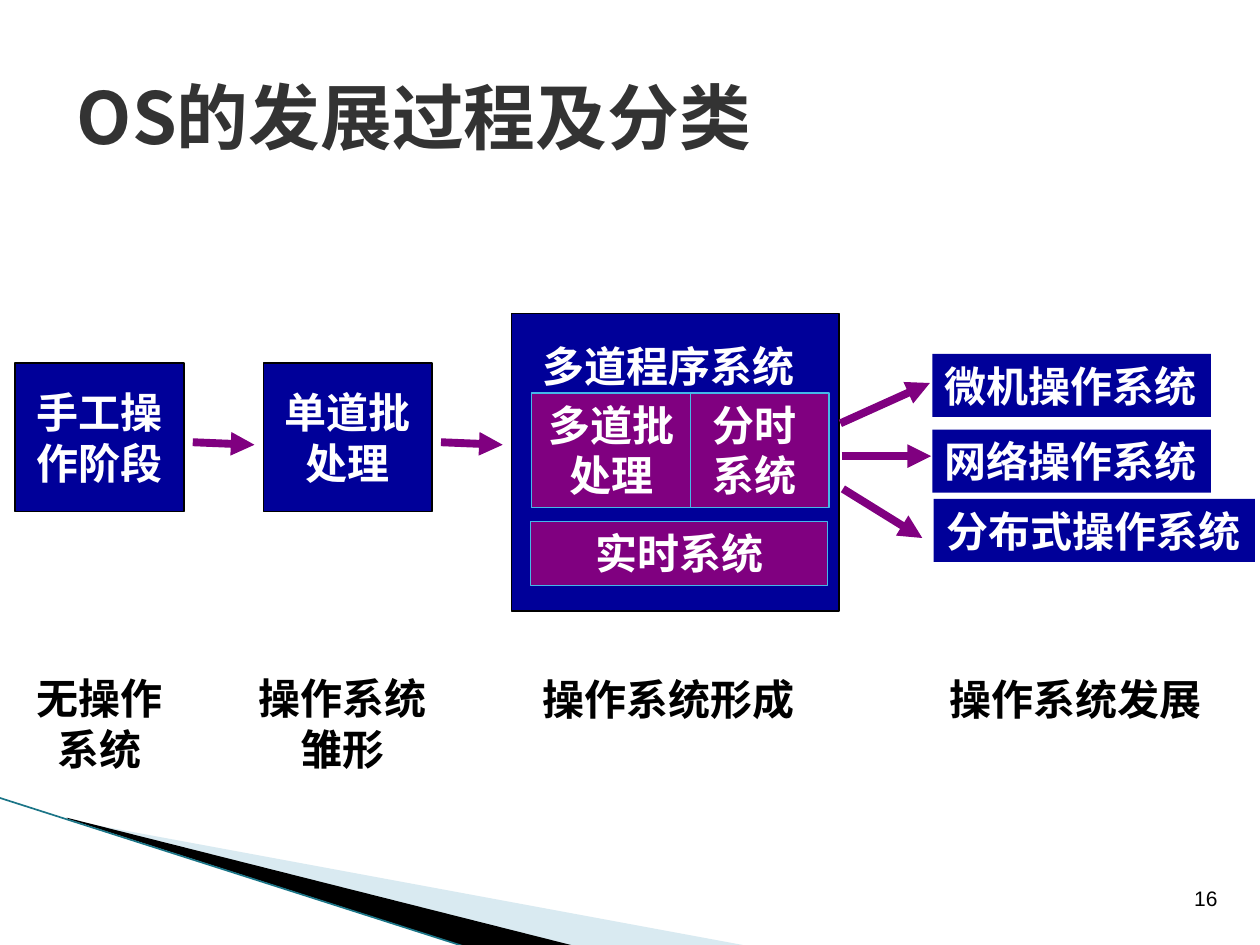
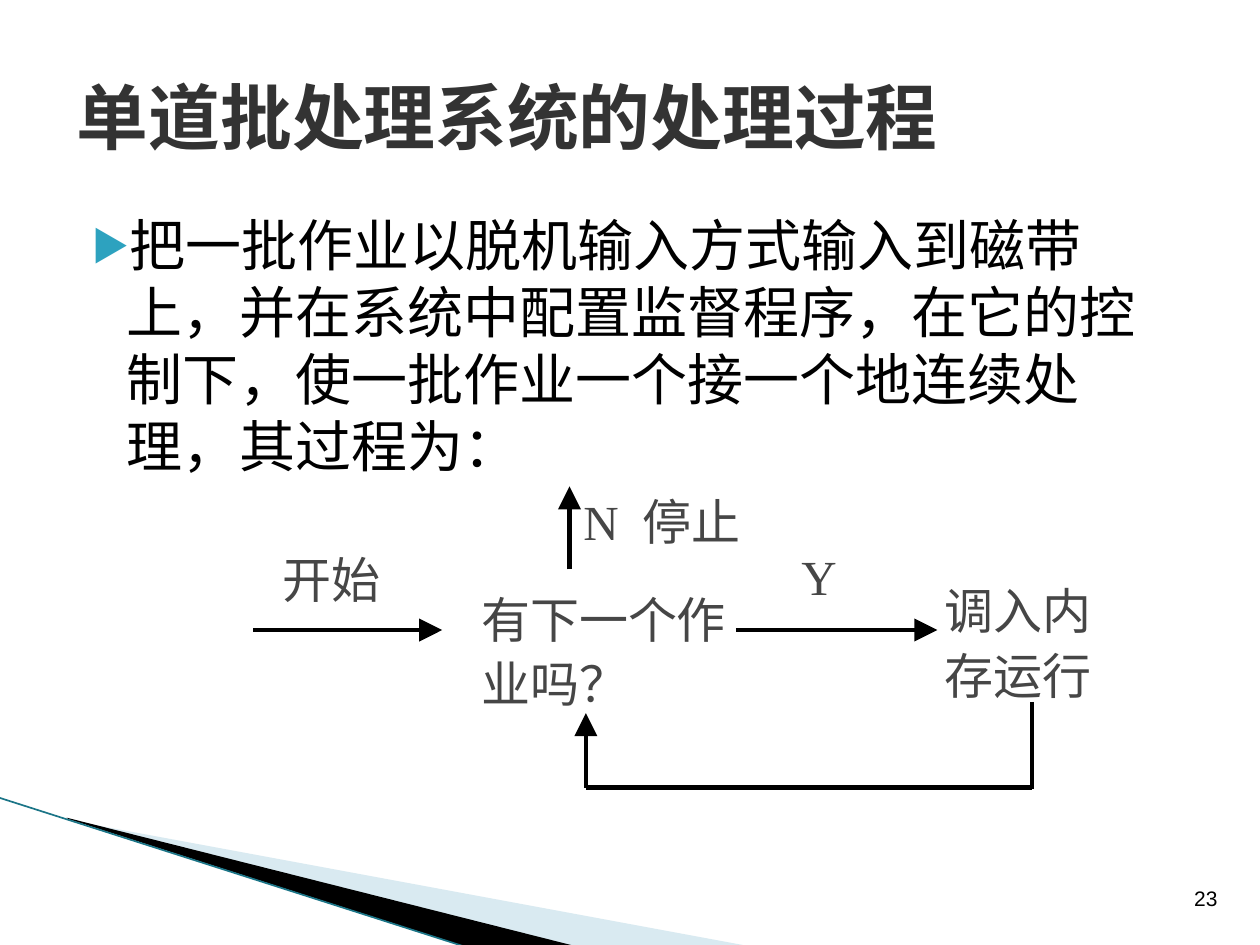
from dataclasses import dataclass

from lxml.etree import SubElement
from pptx import Presentation
from pptx.dml.color import RGBColor
from pptx.enum.shapes import MSO_CONNECTOR, MSO_SHAPE
from pptx.enum.text import MSO_ANCHOR, PP_ALIGN
from pptx.oxml.ns import qn
from pptx.util import Inches, Pt


@dataclass(frozen=True)
class Theme:
    title: str = "333333"
    ink: str = "000000"
    white: str = "FFFFFF"
    label: str = "464646"
    navy: str = "000099"
    purple: str = "800080"
    cyan: str = "44B9E8"
    bullet: str = "2DA2BF"
    wedge: str = "A0CBDC"
    wedge_edge: str = "1B7587"
    cjk_font: str = "Noto Sans CJK SC"
    box_font: str = "Lato"
    plain_font: str = "Arial"
    serif_font: str = "Times New Roman"
    title_size: int = 41
    body_size: int = 32
    label_size: int = 28
    box_size: int = 24
    number_size: int = 12


theme = Theme()


def write_text(shape, text, font, size, color, bold=False, align=PP_ALIGN.LEFT,
               anchor=MSO_ANCHOR.TOP, wrap=True):
    frame = shape.text_frame
    frame.word_wrap = wrap
    frame.vertical_anchor = anchor
    frame.text = text
    paragraph = frame.paragraphs[0]
    paragraph.alignment = align
    for run in paragraph.runs:
        run.font.name = font
        run.font.size = Pt(size)
        run.font.bold = bold
        run.font.color.rgb = RGBColor.from_string(color)
        SubElement(run.font._element, qn("a:ea"), typeface=theme.cjk_font)


def add_line(slide, start, end, color, width, arrow=None):
    """Draw a straight line; arrow is the head size, "med" or "lg"."""
    points = [Inches(value) for value in (*start, *end)]
    connector = slide.shapes.add_connector(MSO_CONNECTOR.STRAIGHT, *points)
    connector.line.color.rgb = RGBColor.from_string(color)
    connector.line.width = Pt(width)
    if arrow:
        SubElement(connector.line._get_or_add_ln(), qn("a:tailEnd"),
                   type="triangle", w=arrow, len=arrow)
    SubElement(connector.element.spPr, qn("a:effectLst"))


presentation = Presentation()
presentation.slide_width = Inches(10)
presentation.slide_height = Inches(7.5)

# Shared title, corner wedges and page number
wedges = [
    (theme.wedge, 40000, [(0.55, 6.51), (5.95, 7.51), (4.56, 7.51), (0.55, 6.5)]),
    (theme.ink, 100000, [(0.53, 6.49), (4.57, 7.51), (3.72, 7.52), (0.54, 6.5)]),
]
slides = []
for title, number in [("OS的发展过程及分类", "16"), ("单道批处理系统的处理过程", "23")]:
    slide = presentation.slides.add_slide(presentation.slide_layouts[5])
    slides.append(slide)
    for color, alpha, corners in wedges:
        corners = [(Inches(x), Inches(y)) for x, y in corners]
        builder = slide.shapes.build_freeform(*corners[0])
        builder.add_line_segments(corners[1:])
        wedge = builder.convert_to_shape()
        wedge.shadow.inherit = False
        wedge.line.fill.background()
        wedge.fill.solid()
        wedge.fill.fore_color.rgb = RGBColor.from_string(color)
        fill_color = next(wedge.element.iter(qn("a:srgbClr")))
        SubElement(fill_color, qn("a:alpha"), val=str(alpha))
    add_line(slide, (-0.01, 6.33), (3.71, 7.52), theme.wedge_edge, 0.95)

    page_number = slide.shapes.add_textbox(Inches(9.37), Inches(6.98), Inches(0.4), Inches(0.3))
    write_text(page_number, number, theme.plain_font, theme.number_size, theme.ink,
               align=PP_ALIGN.CENTER, anchor=MSO_ANCHOR.MIDDLE, wrap=False)

    heading = slide.shapes.title
    heading.left, heading.top = Inches(0.51), Inches(0.29)
    heading.width, heading.height = Inches(9), Inches(1.25)
    write_text(heading, title, theme.cjk_font, theme.title_size, theme.title,
               bold=True, anchor=MSO_ANCHOR.MIDDLE)

history_slide, batch_slide = slides

# Stages of development: fill, outline, font, anchor, alignment, wrap
center, left = PP_ALIGN.CENTER, PP_ALIGN.LEFT
middle, top = MSO_ANCHOR.MIDDLE, MSO_ANCHOR.TOP
stage = (theme.navy, theme.ink, theme.box_font, middle, center, True)
heading_style = (None, None, theme.box_font, top, left, True)
system = (theme.purple, theme.cyan, theme.plain_font, top, center, True)
modern = (theme.navy, None, theme.box_font, top, left, False)
caption = (None, None, theme.plain_font, top, center, True)
boxes = [
    ("手工操作阶段", (0.12, 2.88, 1.34, 1.18), stage),
    ("单道批处理", (2.09, 2.88, 1.34, 1.18), stage),
    ("", (4.06, 2.49, 2.6, 2.36), stage),
    ("多道程序系统", (4.21, 2.65, 2.36, 0.5), heading_style),
    ("分时系统", (5.4, 3.12, 1.18, 0.91), system),
    ("实时系统", (4.21, 4.14, 2.36, 0.51), system),
    ("多道批处理", (4.22, 3.12, 1.26, 0.91), system),
    ("微机操作系统", (7.4, 2.81, 2.21, 0.5), modern),
    ("网络操作系统", (7.4, 3.41, 2.21, 0.5), modern),
    ("分布式操作系统", (7.41, 3.96, 2.55, 0.5), modern),
    ("无操作系统", (0.12, 5.29, 1.34, 0.9), caption),
    ("操作系统雏形", (1.93, 5.29, 1.57, 0.9), caption),
    ("操作系统形成", (4.13, 5.3, 2.36, 0.5), caption),
    ("操作系统发展", (7.36, 5.3, 2.36, 0.5), caption),
]
for text, box, (fill, outline, font, anchor, align, wrap) in boxes:
    position = [Inches(value) for value in box]
    if fill:
        shape = history_slide.shapes.add_shape(MSO_SHAPE.RECTANGLE, *position)
        shape.shadow.inherit = False
        shape.fill.solid()
        shape.fill.fore_color.rgb = RGBColor.from_string(fill)
        if outline:
            shape.line.color.rgb = RGBColor.from_string(outline)
            shape.line.width = Pt(0.75)
        else:
            shape.line.fill.background()
    else:
        shape = history_slide.shapes.add_textbox(*position)
    color = theme.ink if box[1] > 5 else theme.white
    write_text(shape, text, font, theme.box_size, color, True, align, anchor, wrap)

stage_arrows = [
    ((1.53, 3.51), (2.02, 3.53)),
    ((3.5, 3.51), (3.99, 3.53)),
    ((6.67, 3.36), (7.38, 3.04)),
    ((6.68, 3.62), (7.39, 3.62)),
    ((6.69, 3.88), (7.32, 4.27)),
]
for start, end in stage_arrows:
    add_line(history_slide, start, end, theme.purple, 4.5, "med")

# Single-stream batch processing
body = batch_slide.shapes.add_textbox(Inches(0.51), Inches(1.62), Inches(9), Inches(2.3))
write_text(body, "把一批作业以脱机输入方式输入到磁带上，并在系统中配置监督程序，"
           "在它的控制下，使一批作业一个接一个地连续处理，其过程为：",
           theme.serif_font, theme.body_size, theme.ink)
properties = body.text_frame.paragraphs[0]._p.get_or_add_pPr()
properties.set("marL", str(Inches(0.4)))
properties.set("indent", str(Inches(-0.28)))
properties.set("hangingPunct", "0")
bullet_color = SubElement(properties, qn("a:buClr"))
SubElement(bullet_color, qn("a:srgbClr"), val=theme.bullet)
SubElement(properties, qn("a:buSzPct"), val="68000")
SubElement(properties, qn("a:buFont"), typeface=theme.cjk_font)
SubElement(properties, qn("a:buChar"), char="▶")

flow_lines = [
    ((4.52, 4.52), (4.52, 3.86), "lg"),
    ((2.01, 5), (3.51, 5), "lg"),
    ((5.84, 5), (7.44, 5), "lg"),
    ((8.19, 5.57), (8.19, 6.26), None),
    ((8.19, 6.25), (4.65, 6.25), None),
    ((4.65, 6.25), (4.65, 5.66), "lg"),
]
for start, end, arrow in flow_lines:
    add_line(batch_slide, start, end, theme.ink, 2.63, arrow)

flow_labels = [
    ("开始", 2.24, 4.36, 0.78),
    ("有下一个作", 3.82, 4.68, 2),
    ("业吗？", 3.82, 5.19, 1.17),
    ("N", 4.63, 3.9, 0.28),
    ("停止", 5.1, 3.9, 0.78),
    ("Y", 6.36, 4.34, 0.28),
    ("调入内", 7.5, 4.61, 1.17),
    ("存运行", 7.5, 5.12, 1.17),
]
for text, x, y, width in flow_labels:
    label = batch_slide.shapes.add_textbox(Inches(x), Inches(y), Inches(width), Inches(0.47))
    frame = label.text_frame
    frame.margin_left = frame.margin_right = frame.margin_top = frame.margin_bottom = 0
    font = theme.serif_font if text in ("N", "Y") else theme.cjk_font
    write_text(label, text, font, theme.label_size, theme.label, wrap=False)

presentation.save("out.pptx")
